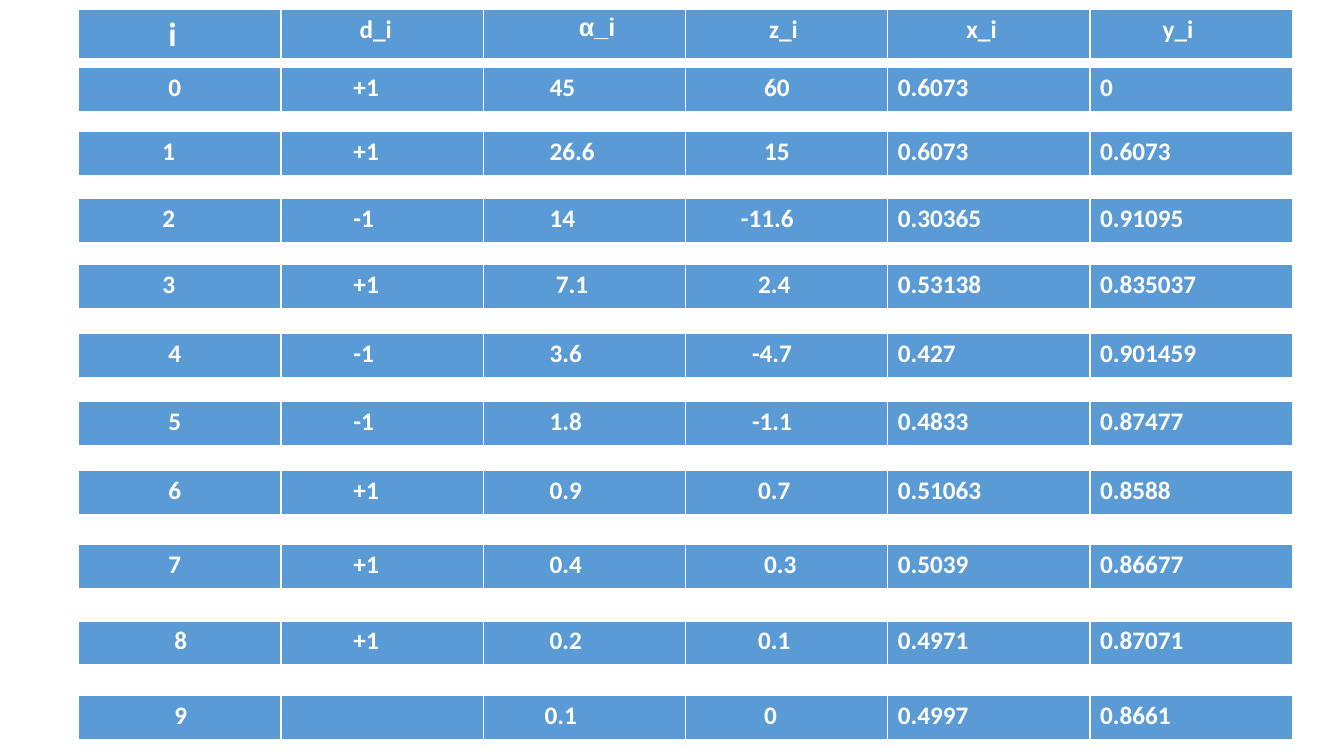
from typing import NamedTuple

from lxml import etree
from pptx import Presentation
from pptx import util as u
from pptx.dml.color import RGBColor
from pptx.enum import text
from pptx.oxml import ns

BLUE = RGBColor(0x5B, 0x9B, 0xD5)
WHITE = RGBColor(0xFF, 0xFF, 0xFF)
LEFT, WIDTH, ROW_HEIGHT, CELL_MARGIN = 0.78, 12.04, 0.45, 0.1
BORDERS = {"a:lnL": 1, "a:lnR": 1, "a:lnT": 1, "a:lnB": 3}
TABLE_FORMAT = {"first_row": False, "horz_banding": False}
CELL_FORMAT = {
    "margin_top": u.Inches(0.05),
    "margin_bottom": u.Inches(0.05),
    "margin_right": u.Inches(CELL_MARGIN),
    "vertical_anchor": text.MSO_ANCHOR.TOP,
}
FONT_FORMAT = {"name": "Calibri", "size": u.Pt(18), "bold": True}
HEADER_FORMATS = {"i": {"size": u.Pt(24)}, "α_i": {"name": "Arial"}}


class Step(NamedTuple):
    top: float
    values: tuple[str, ...]
    index_indent: float = 0.79
    direction_indent: float = 0.62
    alpha_indent: float = 0.56
    z_indent: float = 0.62
    x_indent: float = 0
    y_indent: float = 0
    height: float = ROW_HEIGHT


STEPS = (
    Step(0.09, ("i", "d_i", "α_i", "z_i", "x_i", "y_i"),
         0.79, 0.68, 0.85, 0.73, 0.68, 0.62, height=0.48),
    Step(0.67, ("0", "+1", "45", "60", "0.6073", "0"), z_indent=0.68),
    Step(1.3, ("1", "+1", "26.6", "15", "0.6073", "0.6073"),
         index_indent=0.73, z_indent=0.68),
    Step(1.97, ("2", "-1", "14", "-11.6", "0.30365", "0.91095"),
         index_indent=0.73, z_indent=0.45),
    Step(2.62, ("3", "+1", "7.1", "2.4", "0.53138", "0.835037"),
         index_indent=0.73, alpha_indent=0.62),
    Step(3.31, ("4", "-1", "3.6", "-4.7", "0.427", "0.901459"), z_indent=0.56),
    Step(3.98, ("5", "-1", "1.8", "-1.1", "0.4833", "0.87477"), z_indent=0.56),
    Step(4.67, ("6", "+1", "0.9", "0.7", "0.51063", "0.8588")),
    Step(5.4, ("7", "+1", "0.4", "0.3", "0.5039", "0.86677"), z_indent=0.68),
    Step(6.16, ("8", "+1", "0.2", "0.1", "0.4971", "0.87071"), index_indent=0.85),
    Step(6.9, ("9", "", "0.1", "0", "0.4997", "0.8661"),
         index_indent=0.85, alpha_indent=0.51, z_indent=0.68),
)


def apply_format(target: object, values: dict) -> None:
    for name, value in values.items():
        setattr(target, name, value)


def add_borders(cell) -> None:
    properties = cell._tc.get_or_add_tcPr()
    for tag, points in BORDERS.items():
        line = etree.SubElement(properties, ns.qn(tag), w=str(u.Pt(points)))
        fill = etree.SubElement(line, ns.qn("a:solidFill"))
        etree.SubElement(fill, ns.qn("a:srgbClr"), val=str(WHITE))


def fill_cell(cell, value: str, indent: float) -> None:
    apply_format(cell, CELL_FORMAT)
    cell.margin_left = u.Inches(CELL_MARGIN + indent)
    add_borders(cell)
    cell.fill.solid()
    cell.fill.fore_color.rgb = BLUE
    if value:
        run = cell.text_frame.paragraphs[0].add_run()
        run.text = value
        apply_format(run.font, FONT_FORMAT | HEADER_FORMATS.get(value, {}))
        run.font.color.rgb = WHITE


def add_step(slide, step: Step) -> None:
    table = slide.shapes.add_table(
        1, len(step.values), u.Inches(LEFT), u.Inches(step.top),
        u.Inches(WIDTH), u.Inches(step.height),
    ).table
    apply_format(table, TABLE_FORMAT)
    indents = (step.index_indent, step.direction_indent, step.alpha_indent,
               step.z_indent, step.x_indent, step.y_indent)
    for cell, value, indent in zip(table.rows[0].cells, step.values, indents):
        fill_cell(cell, value, indent)


presentation = Presentation()
presentation.slide_width = u.Inches(13.33)
presentation.slide_height = u.Inches(7.5)
slide = presentation.slides.add_slide(presentation.slide_layouts[6])
for step in STEPS:
    add_step(slide, step)
presentation.save("out.pptx")
